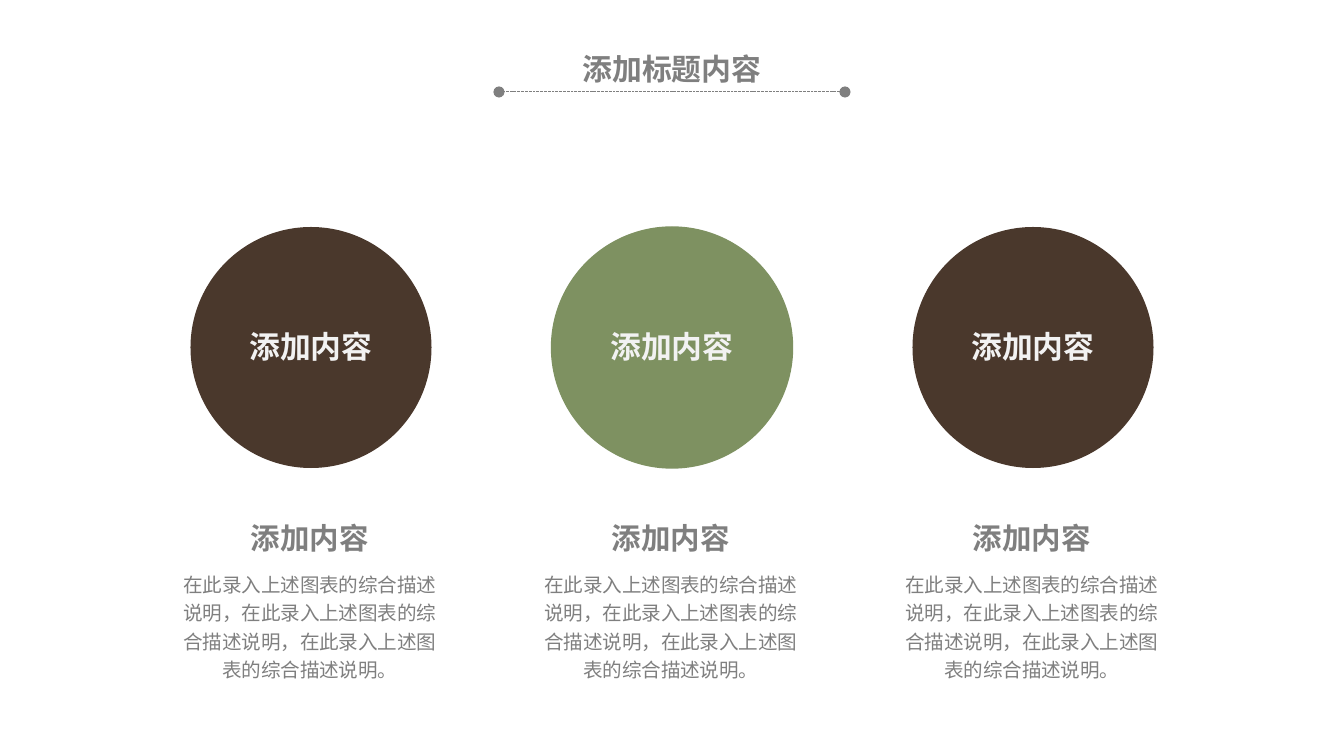
from lxml.etree import SubElement
from pptx import Presentation
from pptx.dml.color import RGBColor
from pptx.enum.dml import MSO_LINE
from pptx.enum.shapes import MSO_CONNECTOR, MSO_SHAPE
from pptx.enum.text import MSO_AUTO_SIZE, PP_ALIGN
from pptx.oxml.ns import qn
from pptx.util import Emu, Pt

THEME = {
    "font": "Noto Sans CJK SC",
    "brown": RGBColor.from_string("4A382C"),
    "green": RGBColor.from_string("7E9161"),
    "gray": RGBColor.from_string("7F7F7F"),
    "light": RGBColor.from_string("F2F2F2"),
    "title_size": 16,
    "circle_size": 16.5,
    "heading_size": 15.8,
    "body_size": 10.5,
}
EMU_PER_PX = 914400 / 134.4


def px(length):
    return Emu(round(length * EMU_PER_PX))


def add_centered_text(center, top, width, height, text, size, color, bold=True):
    """Add a one-run text box around a horizontal center and return it."""
    box = slide.shapes.add_textbox(px(center - width / 2), px(top), px(width), px(height))
    frame = box.text_frame
    frame.word_wrap = True
    paragraph = frame.paragraphs[0]
    paragraph.alignment = PP_ALIGN.CENTER
    run = paragraph.add_run()
    run.text = text
    run.font.size = Pt(size)
    run.font.bold = bold
    run.font.color.rgb = color
    run.font.name = THEME["font"]
    SubElement(run.font._element, qn("a:ea"), typeface=THEME["font"])
    return box


presentation = Presentation()
presentation.slide_width = px(1344)
presentation.slide_height = px(756)
slide = presentation.slides.add_slide(presentation.slide_layouts[6])

# Title with a dotted rule below it
middle = 672
title = add_centered_text(middle, 46, 247, 46, "添加标题内容", THEME["title_size"], THEME["gray"])
title_frame = title.text_frame
title_frame.margin_left = title_frame.margin_right = px(9)
title_frame.margin_top = title_frame.margin_bottom = px(5)
title_frame.paragraphs[0].space_after = Pt(5.2)

rule = slide.shapes.add_connector(
    MSO_CONNECTOR.STRAIGHT, px(middle + 173), px(92), px(middle - 173), px(92)
)
rule.line.color.rgb = THEME["gray"]
rule.line.width = Pt(0.5)
rule.line.dash_style = MSO_LINE.SQUARE_DOT
rule_line = rule.line._get_or_add_ln()
for end in ("a:headEnd", "a:tailEnd"):
    SubElement(rule_line, qn(end), type="oval")
SubElement(rule._element.spPr, qn("a:effectLst"))

# Three columns: circle with label, heading, description
column_pitch = 361
diameter = 241
description = "在此录入上述图表的综合描述说明，" * 2 + "在此录入上述图表的综合描述说明。"

for column, color in enumerate((THEME["brown"], THEME["green"], THEME["brown"])):
    center = middle + (column - 1) * column_pitch
    circle = slide.shapes.add_shape(
        MSO_SHAPE.OVAL, px(center - diameter / 2), px(227), px(diameter), px(diameter)
    )
    circle.shadow.inherit = False
    circle.fill.solid()
    circle.fill.fore_color.rgb = color
    if color == THEME["green"]:
        circle.line.color.rgb = color
        circle.line.width = Pt(0.75)
    else:
        circle.line.fill.background()

    label = add_centered_text(
        center, 321, 152, 51, "添加内容", THEME["circle_size"], THEME["light"]
    )
    label.text_frame.auto_size = MSO_AUTO_SIZE.SHAPE_TO_FIT_TEXT

    heading = add_centered_text(
        center - 1, 513, 147, 50, "添加内容", THEME["heading_size"], THEME["gray"]
    )
    heading.text_frame.word_wrap = False
    heading.text_frame.auto_size = MSO_AUTO_SIZE.SHAPE_TO_FIT_TEXT

    body = add_centered_text(
        center - 1, 562, 293, 121, description, THEME["body_size"], THEME["gray"], bold=False
    )
    body.text_frame.paragraphs[0].line_spacing = 1.2

presentation.save("out.pptx")
